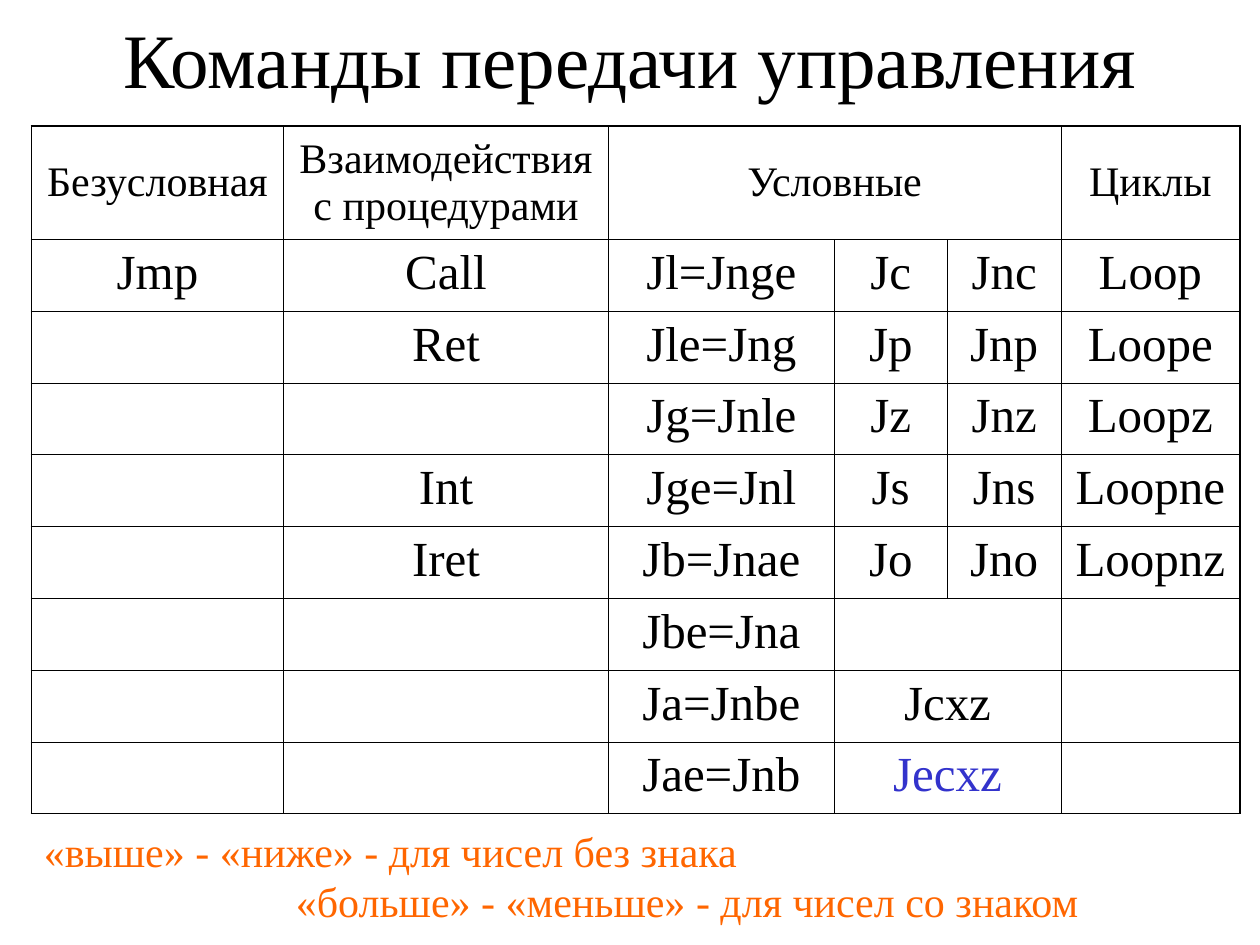
"""Build a slide with a table of control transfer commands."""
from dataclasses import dataclass

from lxml.etree import SubElement
from pptx import Presentation as Deck
from pptx.dml.color import RGBColor as Rgb
from pptx.enum.text import MSO_ANCHOR as Anchor, MSO_AUTO_SIZE as Fit, PP_ALIGN as Align
from pptx.oxml.ns import qn
from pptx.util import Pt

FONT = "Times New Roman"
BLACK, BLUE, ORANGE = "000000", "3333CC", "FF6600"
THIN, THICK = 0.45, 1.08
COLS = [144, 185.75, 128.9, 64.8, 64.8, 102.25]
ROWS = [64.8] + [41.04] * 8
HEAD = ["Безусловная", "Взаимодействия с процедурами", "Условные", "", "", "Циклы"]
BODY = [
    ["Jmp", "Call", "Jl=Jnge", "Jc", "Jnc", "Loop"],
    ["", "Ret", "Jle=Jng", "Jp", "Jnp", "Loope"],
    ["", "", "Jg=Jnle", "Jz", "Jnz", "Loopz"],
    ["", "Int", "Jge=Jnl", "Js", "Jns", "Loopne"],
    ["", "Iret", "Jb=Jnae", "Jo", "Jno", "Loopnz"],
    ["", "", "Jbe=Jna", "", "", ""],
    ["", "", "Ja=Jnbe", "Jcxz", "", ""],
    ["", "", "Jae=Jnb", "Jecxz", "", ""],
]


@dataclass
class Style:
    size: float
    gap: float = 0
    color: str = BLACK
    align: Align = Align.CENTER


@dataclass
class Span:
    row: int
    first: int
    last: int


@dataclass
class Note:
    text: str
    style: Style
    indent: float = 0


SPANS = [Span(0, 2, 4)] + [Span(row, 3, 4) for row in (6, 7, 8)]
NOTES = [
    Note("«выше» - «ниже» - для чисел без знака", Style(24, 15, ORANGE, Align.LEFT)),
    Note("«больше» - «меньше» - для чисел со знаком", Style(24, 0, ORANGE, Align.LEFT), 144),
]


def paint(font, color: str) -> None:
    """Colour a font from a hex string."""
    font.color.rgb = Rgb.from_string(color)


def write(para, text: str, style: Style) -> None:
    """Fill a paragraph and format its runs."""
    para.text = text
    para.alignment = style.align
    para.space_before = Pt(style.gap)
    for run in para.runs:
        run.font.name = FONT
        run.font.size = Pt(style.size)
        paint(run.font, style.color)


def place(shape, left: float, top: float, width: float, height: float) -> None:
    """Move and size a shape in points."""
    shape.left, shape.top = Pt(left), Pt(top)
    shape.width, shape.height = Pt(width), Pt(height)


def edge(cell, side: str, width: float) -> None:
    """Draw one solid border of a cell."""
    line = SubElement(cell._tc.get_or_add_tcPr(), qn(f"a:ln{side}"), w=str(int(Pt(width))))
    fill = SubElement(line, qn("a:solidFill"))
    SubElement(fill, qn("a:srgbClr"), val=BLACK)


def frame(cell, row: int, col: int) -> None:
    """Border a cell, heavier along the rim of the table."""
    rim = {
        "L": col == 0,
        "R": col == len(COLS) - 1,
        "T": row == 0,
        "B": row == len(ROWS) - 1,
    }
    for side, outer in rim.items():
        edge(cell, side, THICK if outer else THIN)
    cell.fill.background()


def grid(slide) -> None:
    """Add the table of commands."""
    shape = slide.shapes.add_table(
        len(ROWS), len(COLS), Pt(18), Pt(72), Pt(sum(COLS)), Pt(sum(ROWS)))
    table = shape.table
    table.first_row = table.horz_banding = False
    for col, width in zip(table.columns, COLS):
        col.width = Pt(width)
    for row, height in zip(table.rows, ROWS):
        row.height = Pt(height)
    for span in SPANS:
        table.cell(span.row, span.first).merge(table.cell(span.row, span.last))
    for r, words in enumerate([HEAD] + BODY):
        for c, word in enumerate(words):
            cell = table.cell(r, c)
            frame(cell, r, c)
            cell.vertical_anchor = Anchor.TOP if r else Anchor.MIDDLE
            color = BLUE if word == "Jecxz" else BLACK
            style = Style(28, 7, color) if r else Style(24, 6)
            if word:
                write(cell.text_frame.paragraphs[0], word, style)


def notes(slide) -> None:
    """Add the remarks below the table."""
    box = slide.shapes.add_textbox(Pt(18), Pt(468), Pt(684), Pt(64.8))
    text = box.text_frame
    text.word_wrap = True
    text.auto_size = Fit.SHAPE_TO_FIT_TEXT
    for i, note in enumerate(NOTES):
        para = text.add_paragraph() if i else text.paragraphs[0]
        write(para, note.text, note.style)
        para._p.get_or_add_pPr().set("marL", str(int(Pt(note.indent))))


def main() -> None:
    """Build and save the slide."""
    deck = Deck()
    deck.slide_width, deck.slide_height = Pt(720), Pt(540)
    slide = deck.slides.add_slide(deck.slide_layouts[5])
    title = slide.shapes.title
    place(title, 54, 12.24, 612, 41.76)
    title.text_frame.auto_size = Fit.NONE
    title.text_frame.vertical_anchor = Anchor.MIDDLE
    write(title.text_frame.paragraphs[0], "Команды передачи управления", Style(44))
    grid(slide)
    notes(slide)
    deck.save("out.pptx")


if __name__ == "__main__":
    main()
